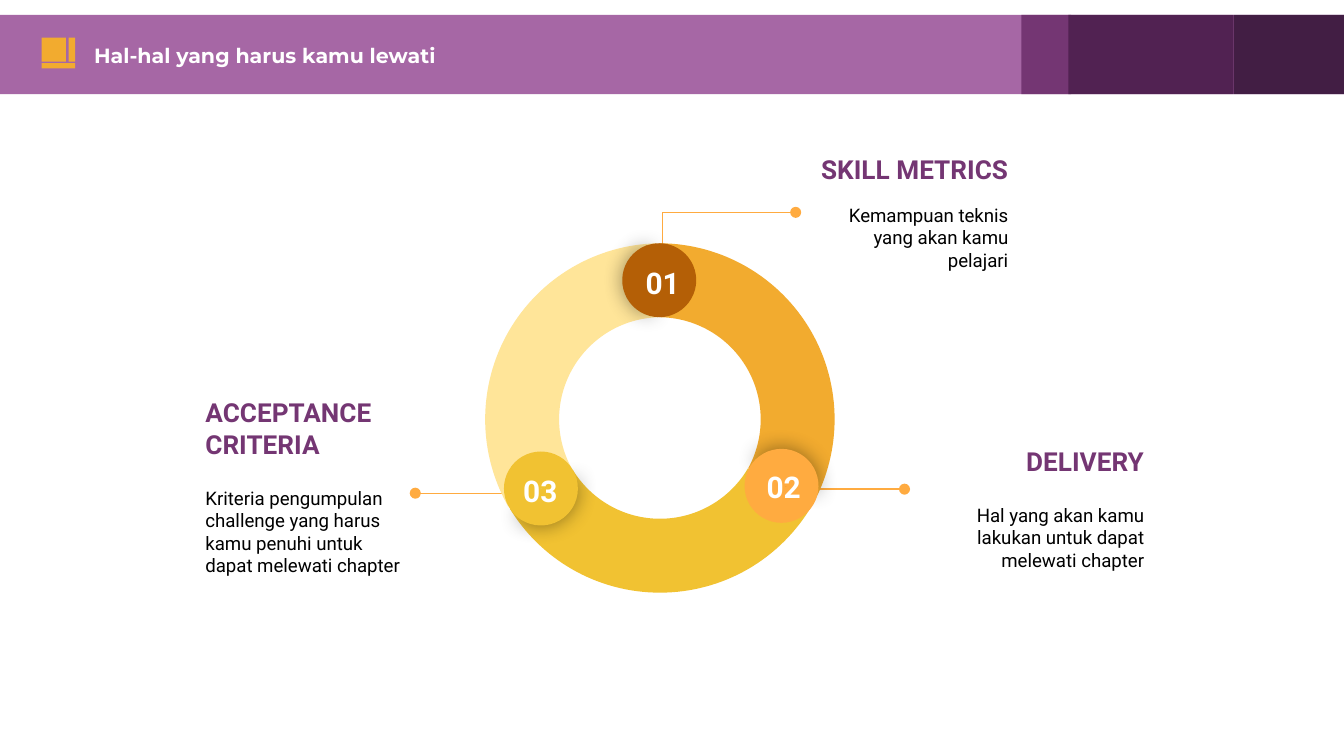
"""Build a slide with a three-step ring and its labelled callouts."""
from dataclasses import dataclass

import pptx
import pptx.dml.color
import pptx.enum.shapes
import pptx.enum.text
import pptx.oxml
import pptx.oxml.ns
import pptx.util
from lxml import etree

Inches = pptx.util.Inches
Pt = pptx.util.Pt
MSO_SHAPE = pptx.enum.shapes.MSO_SHAPE
MSO_CONNECTOR = pptx.enum.shapes.MSO_CONNECTOR
MSO_ANCHOR = pptx.enum.text.MSO_ANCHOR
PP_ALIGN = pptx.enum.text.PP_ALIGN
qn = pptx.oxml.ns.qn

WHITE, BLACK, PLUM = "FFFFFF", "000000", "743673"
AMBER, YELLOW, CREAM, BROWN, ORANGE = "F2AB2F", "F1C232", "FFE599", "B45F06", "FFAB40"
RING_SIZE, KNOB_SIZE = 2.62, 0.55


@dataclass
class Block:
    left: float
    top: float
    width: float
    height: float
    color: str


@dataclass
class Arc:
    left: float
    top: float
    rotation: float
    color: str


@dataclass
class Knob:
    number: str
    left: float
    top: float
    rotation: float
    color: str
    text_left: float
    text_top: float


@dataclass
class Callout:
    title: str
    body: str
    left: float
    top: float
    width: float
    gap: float
    align: PP_ALIGN


BLOCKS = [
    Block(0, 0.11, 10, 0.59, "A667A5"),
    Block(9.18, 0.11, 0.82, 0.59, "421E44"),
    Block(7.6, 0.11, 0.37, 0.59, PLUM),
    Block(7.95, 0.11, 1.23, 0.59, "512252"),
    Block(0.31, 0.28, 0.18, 0.18, AMBER),
    Block(0.51, 0.28, 0.05, 0.18, AMBER),
    Block(0.31, 0.47, 0.25, 0.04, AMBER),
]
ARCS = [
    Arc(3.59, 1.81, 60, AMBER),
    Arc(3.6, 1.79, 180, YELLOW),
    Arc(3.61, 1.81, 300, CREAM),
]
KNOBS = [
    Knob("03", 3.75, 3.36, 240, YELLOW, 3.78, 3.42),
    Knob("01", 4.63, 1.81, 0, BROWN, 4.69, 1.87),
    Knob("02", 5.54, 3.34, 120, ORANGE, 5.59, 3.39),
]
CALLOUTS = [
    Callout("ACCEPTANCE CRITERIA",
            "Kriteria pengumpulan challenge yang harus kamu penuhi untuk dapat melewati chapter",
            1.43, 3.01, 1.68, 14.5, PP_ALIGN.LEFT),
    Callout("SKILL METRICS", "Kemampuan teknis yang akan kamu pelajari",
            5.92, 0.97, 1.68, 10, PP_ALIGN.RIGHT),
    Callout("DELIVERY", "Hal yang akan kamu lakukan untuk dapat melewati chapter",
            6.72, 3.17, 1.89, 14.5, PP_ALIGN.RIGHT),
]


def rgb(color: str) -> pptx.dml.color.RGBColor:
    """Turn a hex string into a colour."""
    return pptx.dml.color.RGBColor.from_string(color)


def add_solid(s, kind, left: float, top: float, width: float, height: float, color: str,
              rotation: float = 0, adjustments: tuple = ()):
    """Add a filled preset shape without outline or shadow."""
    sp = s.shapes.add_shape(kind, Inches(left), Inches(top), Inches(width), Inches(height))
    sp.shadow.inherit = False
    sp.fill.solid()
    sp.fill.fore_color.rgb = rgb(color)
    sp.line.fill.background()
    sp.rotation = rotation
    for i, value in enumerate(adjustments):
        sp.adjustments[i] = value
    return sp


def add_glow(sp) -> None:
    """Give a shape a soft dark shadow centred behind it."""
    effects = sp._element.spPr.find(qn("a:effectLst"))
    shadow = etree.SubElement(effects, qn("a:outerShdw"), blurRad=str(Pt(11.2)),
                              dist="0", dir="0", algn="ctr", rotWithShape="0")
    color = etree.SubElement(shadow, qn("a:srgbClr"), val=BLACK)
    etree.SubElement(color, qn("a:alpha"), val="42000")


def add_leader(s, kind, x1: float, y1: float, x2: float, y2: float):
    """Add a thin line that ends in a dot."""
    line = s.shapes.add_connector(kind, Inches(x1), Inches(y1), Inches(x2), Inches(y2))
    line.line.color.rgb = rgb(ORANGE)
    line.line.width = Pt(0.75)
    etree.SubElement(line.line._get_or_add_ln(), qn("a:tailEnd"), type="oval")
    etree.SubElement(line._element.spPr, qn("a:effectLst"))
    return line


def add_text_frame(s, left: float, top: float, width: float, height: float,
                   inset_x: float = 0.1, inset_y: float = 0.1):
    """Add a wrapping text box and return its frame."""
    tf = s.shapes.add_textbox(Inches(left), Inches(top), Inches(width), Inches(height)).text_frame
    tf.word_wrap = True
    tf.margin_left = tf.margin_right = Inches(inset_x)
    tf.margin_top = tf.margin_bottom = Inches(inset_y)
    return tf


def write(p, text: str, size: float, color: str, bold: bool = True, font: str = "Roboto",
          align: PP_ALIGN = PP_ALIGN.LEFT) -> None:
    """Fill a paragraph with one formatted run."""
    p.text = text
    p.alignment = align
    r = p.runs[0]
    r.font.name, r.font.size, r.font.bold = font, Pt(size), bold
    r.font.color.rgb = rgb(color)


def add_callout(s, callout: Callout) -> None:
    """Add a heading with its description."""
    tf = add_text_frame(s, callout.left, callout.top, callout.width, 1.22)
    tf.vertical_anchor = MSO_ANCHOR.MIDDLE
    write(tf.paragraphs[0], callout.title, 14, PLUM, align=callout.align)
    p = tf.add_paragraph()
    write(p, callout.body, 10, BLACK, bold=False, align=callout.align)
    p.space_before = Pt(callout.gap)


def add_knob(s, knob: Knob) -> None:
    """Add a disc from two pies, the leading one with a shadow."""
    box = (knob.left, knob.top, KNOB_SIZE, KNOB_SIZE, knob.color)
    add_glow(add_solid(s, MSO_SHAPE.PIE, *box, knob.rotation + 0.7, (61.9, 149.96)))
    add_solid(s, MSO_SHAPE.PIE, *box, (knob.rotation + 180) % 360, (40.28, 171.84))


def main() -> None:
    """Build and save the slide."""
    prs = pptx.Presentation()
    prs.slide_width = Inches(10)
    prs.slide_height = prs.slide_width * 9 // 16
    s = prs.slides.add_slide(prs.slide_layouts[6])

    bent = add_leader(s, MSO_CONNECTOR.ELBOW, 5.28, 1.23, 5.57, 2.22)
    bent._element.spPr.find(qn("a:prstGeom")).set("prst", "bentConnector2")
    bent._element.spPr.find(qn("a:xfrm")).set("rot", str(270 * 60000))

    for b in BLOCKS:
        add_solid(s, MSO_SHAPE.RECTANGLE, b.left, b.top, b.width, b.height, b.color)
    title = add_text_frame(s, 0.63, 0.28, 7.98, 0.25, 0.07, 0.04)
    write(title.paragraphs[0], "Hal-hal yang harus kamu lewati", 11, WHITE, font="Montserrat")

    for callout in CALLOUTS:
        add_callout(s, callout)
    add_leader(s, MSO_CONNECTOR.STRAIGHT, 4.03, 3.67, 3.09, 3.67)
    add_leader(s, MSO_CONNECTOR.STRAIGHT, 5.52, 3.64, 6.73, 3.64)

    for arc in ARCS:
        add_solid(s, MSO_SHAPE.BLOCK_ARC, arc.left, arc.top, RING_SIZE, RING_SIZE, arc.color,
                  arc.rotation, (126.22, 197, 0.21))
    for knob in KNOBS:
        add_knob(s, knob)
    for knob in KNOBS:
        tf = add_text_frame(s, knob.text_left, knob.text_top, 0.48, 0.25)
        write(tf.paragraphs[0], knob.number, 16, WHITE, align=PP_ALIGN.CENTER)

    prs.save("out.pptx")


if __name__ == "__main__":
    main()
